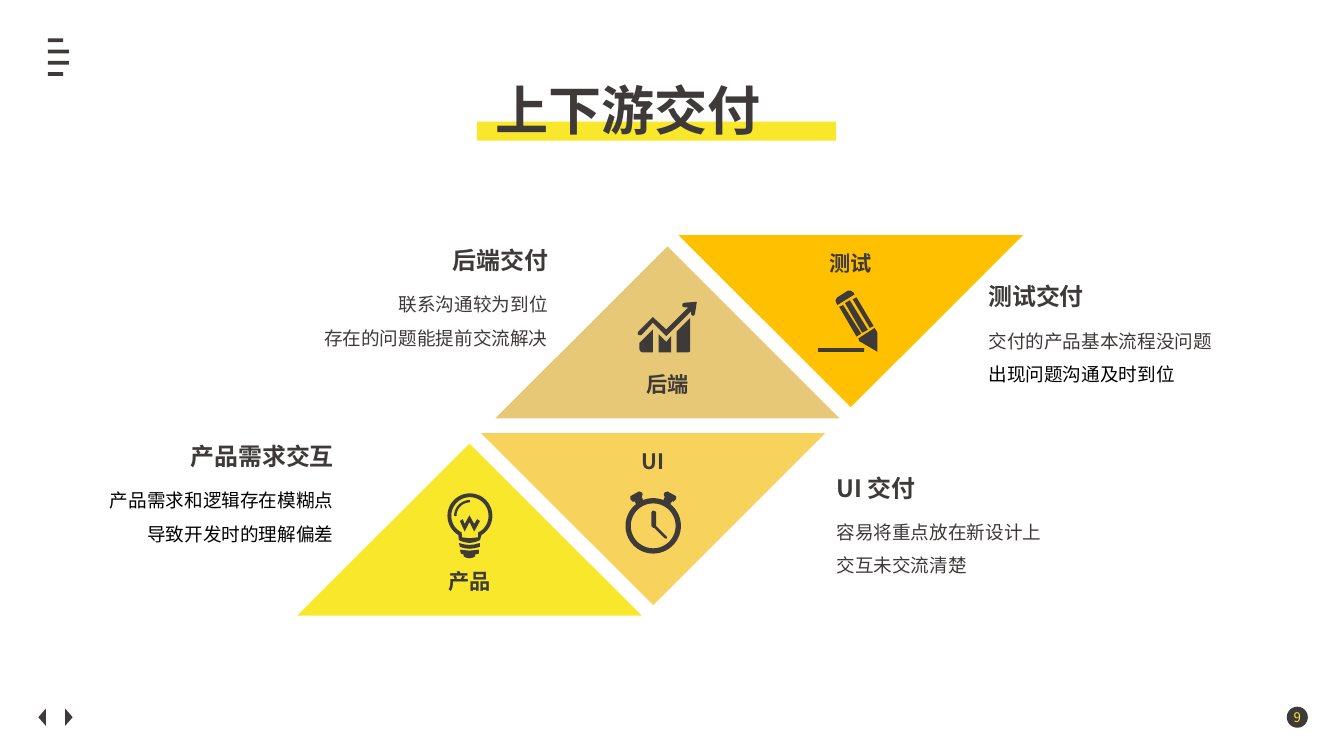
from collections import namedtuple
from dataclasses import dataclass
from itertools import cycle
from math import cos, radians, sin

from lxml.etree import SubElement
from pptx import Presentation
from pptx.dml.color import RGBColor
from pptx.enum.shapes import MSO_SHAPE as Kind
from pptx.enum.text import MSO_ANCHOR as Anchor, MSO_AUTO_SIZE as Fit, PP_ALIGN as Align
from pptx.oxml.ns import qn
from pptx.util import Cm, Pt

Box = namedtuple("Box", "left top width height")


@dataclass(frozen=True)
class Theme:
    """Colours, font and type sizes of the slide."""
    ink: str = "3F3A3A"
    black: str = "000000"
    lemon: str = "F9E72C"
    amber: str = "FFC000"
    honey: str = "F7D25C"
    sand: str = "E7C876"
    font: str = "Noto Sans CJK SC"
    title: int = 40
    head: int = 18
    label: int = 16
    body: int = 14
    page: int = 10


LOOK = Theme()


def inside(box, left, top, width, height):
    """Return a box offset from the corner of another box."""
    return Box(box.left + left, box.top + top, width, height)


def write(frame, lines, size, inks=(LOOK.ink,), align=Align.LEFT, bold=False,
          spacing=1.0, pad=None, anchor=Anchor.TOP, track=0):
    """Fill a text frame with formatted paragraphs."""
    frame.word_wrap = True
    frame.auto_size = Fit.NONE
    frame.vertical_anchor = anchor
    if pad is not None:
        frame.margin_left = frame.margin_right = Cm(pad)
        frame.margin_top = frame.margin_bottom = Cm(pad)
    for i, (line, ink) in enumerate(zip(lines, cycle(inks))):
        para = frame.add_paragraph() if i else frame.paragraphs[0]
        props = para._p.get_or_add_pPr()
        props.set("marL", "0")
        props.set("indent", "0")
        SubElement(props, qn("a:buNone"))
        para.alignment = align
        para.line_spacing = spacing
        para.space_before = para.space_after = Pt(0)
        run = para.add_run()
        run.text = line
        run.font.size = Pt(size)
        run.font.bold = bold
        run.font.color.rgb = RGBColor.from_string(ink)
        run.font.name = LOOK.font
        style = run._r.get_or_add_rPr()
        SubElement(style, qn("a:ea")).set("typeface", LOOK.font)
        if track:
            style.set("spc", str(track))


def place(shape, box):
    """Move and size a shape to a box."""
    shape.left, shape.top, shape.width, shape.height = map(Cm, box)


def paint(shape, fill):
    """Give a shape a flat fill without line or shadow."""
    shape.shadow.inherit = False
    shape.fill.solid()
    shape.fill.fore_color.rgb = RGBColor.from_string(fill)
    shape.line.fill.background()
    return shape


def draw(slide, kind, box, fill=LOOK.ink):
    """Add a flat preset shape."""
    return paint(slide.shapes.add_shape(kind, *map(Cm, box)), fill)


def label(slide, box, lines, size, **style):
    """Add a text box."""
    write(slide.shapes.add_textbox(*map(Cm, box)).text_frame, lines, size, **style)


def arc(x, y, radius, start, end, steps=40):
    """Return points along an arc, with angles in degrees."""
    turns = [radians(start + (end - start) * i / steps) for i in range(steps + 1)]
    return [(x + radius * cos(t), y + radius * sin(t)) for t in turns]


def icon(slide, box, grid, paths):
    """Draw closed outlines from a grid of given width inside a box."""
    unit = Cm(box.width) / grid
    scaled = [[(x * unit, y * unit) for x, y in path] for path in paths]
    pen = slide.shapes.build_freeform(*scaled[0][0])
    for i, path in enumerate(scaled):
        if i:
            pen.move_to(*path[0])
        pen.add_line_segments(path[1:], close=True)
    paint(pen.convert_to_shape(Cm(box.left), Cm(box.top)), LOOK.ink)


BULB = [
    arc(23.5, 23.5, 23.5, 59, -239) + [(12, 49), (17, 51), (23, 52), (29, 51), (34, 49)],
    arc(23.5, 23.5, 19.5, 64, -244) + [(15, 46), (23, 47), (32, 46)],
    arc(23.5, 23.5, 16.5, -90, -180) + [(8, 24)] + arc(23.5, 23.5, 14, -180, -90),
    [(28, 32), (23, 23), (18, 32), (16, 27), (13, 29), (18, 40), (23, 30), (28, 40),
     (34, 29), (31, 27)],
    [(12, 52), (13, 56), (18, 57.5), (23, 58), (28, 57.5), (34, 56), (34, 52),
     (28, 53.5), (23, 54), (18, 53.5)],
    [(13, 59), (14, 63), (17, 64), (17, 66), (20, 67.5), (23, 68), (26, 67.5), (29, 66),
     (29, 64), (33, 63), (33, 59), (23, 60)],
]
BELL = [(9, 10), (8, 11), (5, 8), (5, 5), (14, 0), (17, 1), (18, 3), (17, 6), (18, 8)]
CLOCK = [
    arc(29, 36, 29, -52, 232) + BELL + arc(29, 36, 29, -112, -68)
    + [(58 - x, y) for x, y in reversed(BELL)],
    arc(29, 36, 23.5, 0, 360),
    [(32, 36), (32, 22), (31, 20.5), (29, 20), (28, 20.5), (27, 22), (27, 36), (29, 38),
     (30, 38), (41, 49), (43, 49.5), (43.5, 47.5)],
]
CHART = [
    [(22, 34), (22, 53), (35, 53), (35, 36), (30, 42)],
    [(2, 50), (3, 52), (5, 53), (16, 53), (16, 29), (2, 43)],
    [(41, 31), (41, 53), (53, 53), (55, 52), (55, 17)],
    [(49, 1), (47, 2), (47, 5), (50, 6), (53, 6), (30, 29), (16, 16), (1, 31), (0, 33),
     (1, 35), (4, 35), (16, 22), (30, 36), (56, 10), (56, 13), (58, 15), (60, 13), (62, 0)],
]
PENCIL = [
    [(43, 54), (45, 55), (62, 65), (62, 45), (59, 40), (42, 51)],
    [(54, 40), (58, 38), (40, 8), (36, 10)],
    [(52, 42), (33, 11), (28, 14), (46, 45)],
    [(22, 18), (40, 49), (45, 46), (26, 16)],
    [(20, 16), (38, 5), (37, 3), (34, 1), (31, 1), (20, 8), (18, 11), (19, 14)],
    [(0, 65), (48, 65), (48, 61), (0, 61)],
]


def banner(slide, box, text):
    """Place the title over its highlight bar."""
    bar = draw(slide, Kind.RECTANGLE, inside(box, 0, 1.3, box.width, 0.51), LOOK.lemon)
    slide.shapes._spTree.insert(2, bar._element)
    title = slide.shapes.title
    place(title, inside(box, 0.23, 0, 9.09, 1.96))
    write(title.text_frame, [text], LOOK.title, bold=True, align=Align.JUSTIFY)


def menu(slide, box):
    """Stack the four menu bars."""
    for i, share in enumerate((0.73, 1, 1, 0.73)):
        draw(slide, Kind.RECTANGLE, inside(box, 0, i * 0.3, box.width * share, 0.1))


def footer(slide, box, page):
    """Place the page arrows and the page number."""
    for left, turn in ((0, 270), (0.71, 90)):
        draw(slide, Kind.ISOSCELES_TRIANGLE, inside(box, left, 0.18, 0.46, 0.2)).rotation = turn
    disc = draw(slide, Kind.OVAL, inside(box, box.width - 0.56, 0, 0.56, 0.56))
    write(disc.text_frame, [page], LOOK.page, inks=(LOOK.lemon,), align=Align.CENTER,
          pad=0, anchor=Anchor.MIDDLE)


def stage(slide, box, name, fill, down, art, grid, spot):
    """Draw one triangle with its icon and label."""
    shape = draw(slide, Kind.ISOSCELES_TRIANGLE, box, fill)
    shape.rotation = 180 if down else 0
    icon(slide, inside(box, *spot, grid * 0.0254, 0), grid, art)
    label(slide, inside(box, 0, 0.41 if down else 3.32, box.width, 0.69), [name], LOOK.label,
          bold=True, align=Align.CENTER, pad=0, track=-30)


def note(slide, box, body, head, lines, align, inks):
    """Place a heading and its lines of text."""
    label(slide, inside(box, 0, 0, box.width, 1.02), [head], LOOK.head, bold=True, align=align)
    place(body, inside(box, 0, 0.97, box.width, 2.06))
    write(body.text_frame, lines, LOOK.body, inks=inks, align=align, spacing=1.5)


STAGES = [
    (7.9, 11.79, "产品", LOOK.lemon, False, BULB, 47, (3.99, 1.32)),
    (18.03, 6.25, "测试", LOOK.amber, True, PENCIL, 62, (3.71, 1.45)),
    (12.78, 11.51, "UI", LOOK.honey, True, CLOCK, 58, (3.84, 1.55)),
    (13.16, 6.55, "后端", LOOK.sand, False, CHART, 62, (3.78, 1.47)),
]
NOTES = [
    (0.2, 11.61, "产品需求交互", ["产品需求和逻辑存在模糊点", "导致开发时的理解偏差"],
     Align.RIGHT, (LOOK.black,)),
    (21.97, 12.45, "UI 交付", ["容易将重点放在新设计上", "交互未交流清楚"],
     Align.LEFT, (LOOK.ink,)),
    (5.89, 6.4, "后端交付", ["联系沟通较为到位", "存在的问题能提前交流解决"],
     Align.RIGHT, (LOOK.ink,)),
    (26.01, 7.37, "测试交付", ["交付的产品基本流程没问题", "出现问题沟通及时到位"],
     Align.LEFT, (LOOK.ink, LOOK.black)),
]


def main():
    """Build and save the slide."""
    deck = Presentation()
    deck.slide_width, deck.slide_height = Cm(35.71), Cm(20.09)
    slide = deck.slides.add_slide(deck.slide_layouts.get_by_name("Comparison"))
    bodies = list(slide.placeholders)[1:]
    banner(slide, Box(12.67, 1.93, 9.55, 1.96), "上下游交付")
    menu(slide, Box(1.27, 1.02, 0.56, 1))
    footer(slide, Box(0.89, 18.78, 33.86, 0.56), "9")
    for left, top, *rest in STAGES:
        stage(slide, Box(left, top, 9.15, 4.57), *rest)
    for body, (left, top, *rest) in zip(bodies, NOTES):
        note(slide, Box(left, top, 8.92, 3.03), body, *rest)
    deck.save("out.pptx")


if __name__ == "__main__":
    main()
